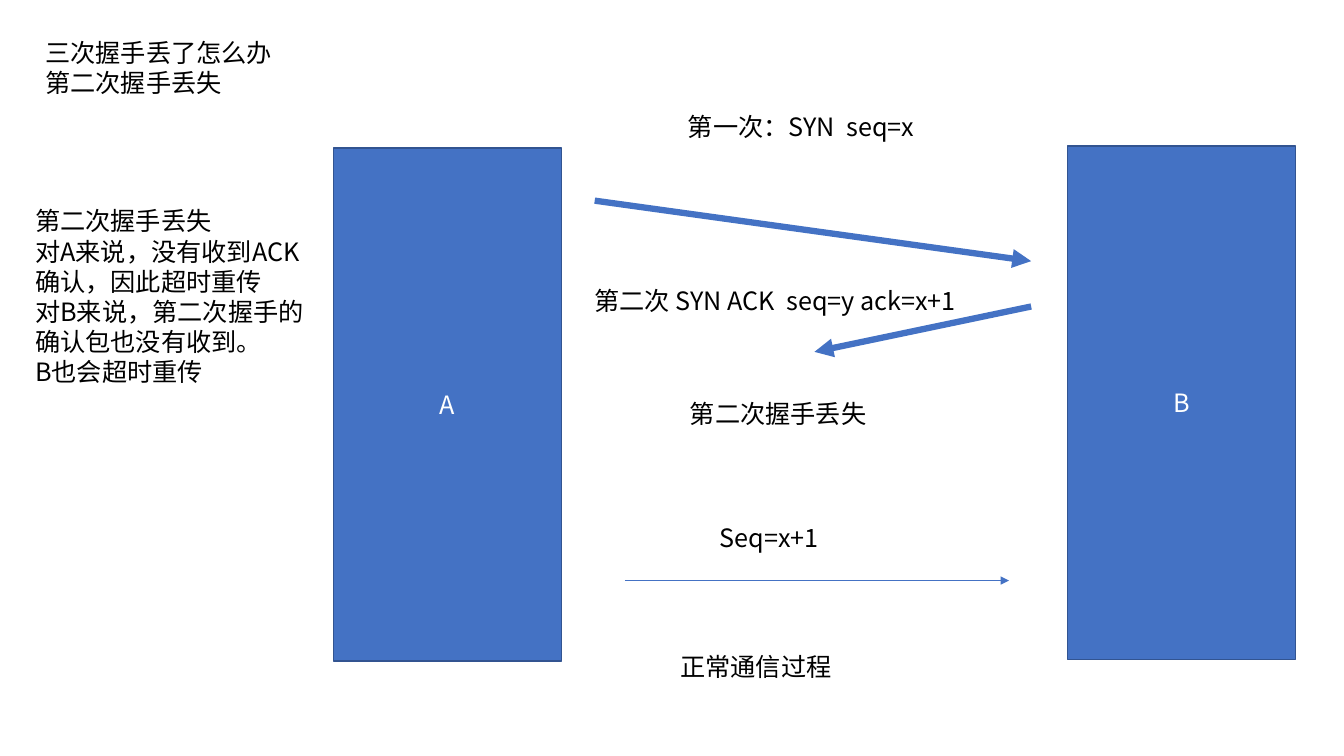
"""Build the slide on a lost second TCP handshake."""
from dataclasses import dataclass

from pptx import Presentation
from pptx.dml.color import RGBColor
from pptx.enum.shapes import MSO_CONNECTOR as Conn, MSO_SHAPE as Shape
from pptx.enum.text import MSO_ANCHOR as Anchor, MSO_AUTO_SIZE as AutoSize, PP_ALIGN as Align
from pptx.oxml.ns import qn
from pptx.util import Emu, Inches, Pt

COLUMNS, ROWS = 40, 24
LINE_ROWS = 1.28


@dataclass(frozen=True)
class Theme:
    blue: RGBColor = RGBColor.from_string("4472C4")
    edge: RGBColor = RGBColor.from_string("325491")
    ink: RGBColor = RGBColor.from_string("000000")
    paper: RGBColor = RGBColor.from_string("FFFFFF")
    font: str = "Noto Sans CJK SC"
    size: float = 18
    edge_width: float = 1
    bold_arrow: float = 4.5
    thin_arrow: float = 0.5


@dataclass(frozen=True)
class Host:
    name: str
    col: float
    row: float
    cols: float = 6.78
    rows: float = 16.29


@dataclass(frozen=True)
class Arrow:
    start: tuple[float, float]
    end: tuple[float, float]
    width: float


@dataclass(frozen=True)
class Label:
    lines: tuple[str, ...]
    col: float
    row: float
    cols: float
    rows: float = LINE_ROWS
    wrap: bool = False


THEME = Theme()
HOSTS = (Host("A", 9.93, 4.7), Host("B", 31.77, 4.64))
ARROWS = (
    Arrow((17.7, 6.37), (30.69, 8.29), THEME.bold_arrow),
    Arrow((30.69, 9.73), (24.24, 11.17), THEME.bold_arrow),
    Arrow((18.6, 18.43), (30.03, 18.43), THEME.thin_arrow),
)
LABELS = (
    Label(("三次握手丢了怎么办", "第二次握手丢失"), 1.05, 1.02, 11.64, 2.27, True),
    Label(("第二次握手丢失", "对A来说，没有收到ACK", "确认，因此超时重传",
           "对B来说，第二次握手的确认包也没有收到。", "B也会超时重传"),
          0.75, 6.37, 8.85, 8.06, True),
    Label((" 第一次：SYN  seq=x",), 20.01, 3.39, 7.59),
    Label(("第二次 SYN ACK  seq=y ack=x+1",), 17.4, 8.9, 11.46),
    Label((" 第二次握手丢失",), 20.07, 12.48, 6.12),
    Label(("Seq=x+1",), 21.12, 16.42, 3.57),
    Label(("正常通信过程",), 19.95, 20.51, 5.16),
)

prs = Presentation()
prs.slide_width, prs.slide_height = Inches(13.33), Inches(7.5)
s = prs.slides.add_slide(prs.slide_layouts[6])


def place(*grid: float) -> list[Emu]:
    """Turn alternating columns and rows into slide lengths."""
    units = (prs.slide_width / COLUMNS, prs.slide_height / ROWS)
    return [Emu(round(n * units[i % 2])) for i, n in enumerate(grid)]


def write(tf, lines: tuple[str, ...], color: RGBColor, align: Align) -> None:
    """Fill a text frame with one paragraph per line."""
    for i, line in enumerate(lines):
        p = tf.paragraphs[0] if i == 0 else tf.add_paragraph()
        p.alignment = align
        r = p.add_run()
        r.text = line
        for key, value in {"size": Pt(THEME.size), "name": THEME.font}.items():
            setattr(r.font, key, value)
        r.font.color.rgb = color
        ea = r.font._element.makeelement(qn("a:ea"), {"typeface": THEME.font})
        r.font._element.find(qn("a:latin")).addnext(ea)


def draw_host(host: Host) -> None:
    """Draw one end of the connection."""
    sp = s.shapes.add_shape(Shape.RECTANGLE, *place(host.col, host.row, host.cols, host.rows))
    sp.shadow.inherit = False
    sp.fill.solid()
    sp.fill.fore_color.rgb = THEME.blue
    sp.line.color.rgb, sp.line.width = THEME.edge, Pt(THEME.edge_width)
    sp.text_frame.vertical_anchor = Anchor.MIDDLE
    write(sp.text_frame, (host.name,), THEME.paper, Align.CENTER)


def draw_arrow(arrow: Arrow) -> None:
    """Draw one message with its arrowhead."""
    cn = s.shapes.add_connector(Conn.STRAIGHT, *place(*arrow.start, *arrow.end))
    cn.line.color.rgb, cn.line.width = THEME.blue, Pt(arrow.width)
    ln = cn.line._get_or_add_ln()
    ln.append(ln.makeelement(qn("a:tailEnd"), {"type": "triangle"}))
    ln.addnext(ln.makeelement(qn("a:effectLst"), {}))


def draw_label(label: Label) -> None:
    """Draw one block of plain text."""
    tf = s.shapes.add_textbox(*place(label.col, label.row, label.cols, label.rows)).text_frame
    for key, value in {"word_wrap": label.wrap, "auto_size": AutoSize.SHAPE_TO_FIT_TEXT}.items():
        setattr(tf, key, value)
    write(tf, label.lines, THEME.ink, Align.LEFT)


for draw, items in ((draw_host, HOSTS), (draw_arrow, ARROWS), (draw_label, LABELS)):
    for item in items:
        draw(item)

prs.save("out.pptx")
